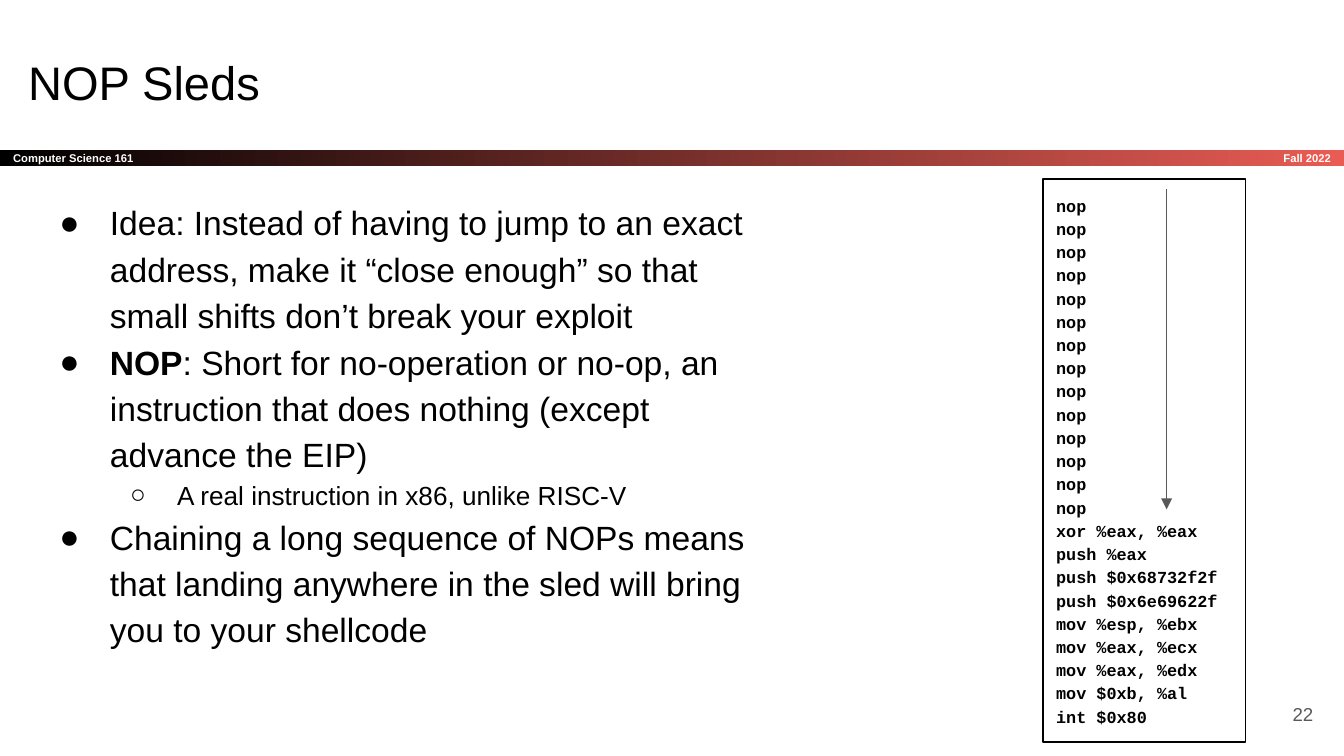
"""Builds the NOP Sleds lecture slide."""
from lxml.etree import SubElement
from pptx import Presentation
from pptx.dml.color import RGBColor
from pptx.enum.shapes import MSO_CONNECTOR as CONN, MSO_SHAPE as SHAPE
from pptx.enum.text import MSO_ANCHOR as ANCHOR, MSO_AUTO_SIZE as AUTO, PP_ALIGN as ALIGN
from pptx.oxml.ns import qn
from pptx.util import Pt

BLACK = RGBColor(0x00, 0x00, 0x00)
WHITE = RGBColor(0xFF, 0xFF, 0xFF)
RED = RGBColor(0xE8, 0x5C, 0x54)
GREY = RGBColor(0x59, 0x59, 0x59)

BULLETS = [
    (0, [("Idea: Instead of having to jump to an exact address, make it “close enough” "
          "so that small shifts don’t break your exploit", False)]),
    (0, [("NOP", True),
         (": Short for no-operation or no-op, an instruction that does nothing "
          "(except advance the EIP)", False)]),
    (1, [("A real instruction in x86, unlike RISC-V", False)]),
    (0, [("Chaining a long sequence of NOPs means that landing anywhere in the sled "
          "will bring you to your shellcode", False)]),
]
LEVELS = [("●", 36, -27, 18), ("○", 72, -25.2, 14)]
CODE = ["nop"] * 14 + [
    "xor %eax, %eax",
    "push %eax",
    "push $0x68732f2f",
    "push $0x6e69622f",
    "mov %esp, %ebx",
    "mov %eax, %ecx",
    "mov %eax, %edx",
    "mov $0xb, %al",
    "int $0x80",
]


class SlideBuilder:
    def __init__(self, slide, font="Arial", mono="Courier New", inset=7.2, spacing=1.15):
        self.s, self.font, self.mono = slide, font, mono
        self.inset, self.spacing = Pt(inset), spacing

    def frame(self, sp, anchor=ANCHOR.TOP):
        tf = sp.text_frame
        tf.word_wrap = True
        tf.vertical_anchor = anchor
        tf.margin_left = tf.margin_right = tf.margin_top = tf.margin_bottom = self.inset
        return tf

    def run(self, p, text, size, color=BLACK, bold=False, font=None):
        r = p.add_run()
        r.text = text
        r.font.name = font or self.font
        r.font.size = Pt(size)
        r.font.bold = bold
        r.font.color.rgb = color

    def box(self, x, y, w, h):
        sp = self.s.shapes.add_shape(SHAPE.RECTANGLE, Pt(x), Pt(y), Pt(w), Pt(h))
        sp.shadow.inherit = False
        return sp

    def label(self, x, y, w, h, text, size, color=BLACK, bold=False,
              align=ALIGN.LEFT, anchor=ANCHOR.MIDDLE):
        sp = self.s.shapes.add_textbox(Pt(x), Pt(y), Pt(w), Pt(h))
        p = self.frame(sp, anchor).paragraphs[0]
        p.alignment = align
        self.run(p, text, size, color, bold)

    def band(self, x, y, w, h, text, size):
        sp = self.box(x, y, w, h)
        sp.fill.gradient()
        sp.fill.gradient_angle = 0
        for stop, color in zip(sp.fill.gradient_stops, (BLACK, RED)):
            stop.color.rgb = color
        sp.line.fill.background()
        p = self.frame(sp, ANCHOR.MIDDLE).paragraphs[0]
        p.alignment = ALIGN.LEFT
        self.run(p, text, size, WHITE, True)

    def bullets(self, x, y, w, h, items):
        tf = self.frame(self.s.shapes.add_textbox(Pt(x), Pt(y), Pt(w), Pt(h)))
        for i, (level, runs) in enumerate(items):
            p = tf.add_paragraph() if i else tf.paragraphs[0]
            char, margin, indent, size = LEVELS[level]
            pPr = p._p.get_or_add_pPr()
            pPr.set("marL", str(Pt(margin)))
            pPr.set("indent", str(Pt(indent)))
            SubElement(SubElement(pPr, qn("a:buClr")), qn("a:srgbClr"), val=str(BLACK))
            SubElement(pPr, qn("a:buFont"), typeface=self.font)
            SubElement(pPr, qn("a:buChar"), char=char)
            p.level = level
            p.line_spacing = self.spacing
            for text, bold in runs:
                self.run(p, text, size, bold=bold)

    def code(self, x, y, w, h, lines, size):
        sp = self.box(x, y, w, h)
        sp.fill.solid()
        sp.fill.fore_color.rgb = WHITE
        sp.line.color.rgb = BLACK
        sp.line.width = Pt(0.75)
        tf = self.frame(sp)
        tf.auto_size = AUTO.SHAPE_TO_FIT_TEXT
        p = tf.paragraphs[0]
        p.alignment = ALIGN.LEFT
        p.line_spacing = self.spacing
        p.space_after = Pt(12)
        for i, line in enumerate(lines):
            if i:
                p.add_line_break()
            self.run(p, line, size, bold=True, font=self.mono)

    def arrow(self, x1, y1, x2, y2):
        c = self.s.shapes.add_connector(CONN.STRAIGHT, Pt(x1), Pt(y1), Pt(x2), Pt(y2))
        c.line.color.rgb = GREY
        c.line.width = Pt(0.75)
        SubElement(c.line._get_or_add_ln(), qn("a:tailEnd"), type="triangle")
        SubElement(c._element.spPr, qn("a:effectLst"))


def main():
    prs = Presentation()
    prs.slide_width, prs.slide_height = Pt(720), Pt(405)
    b = SlideBuilder(prs.slides.add_slide(prs.slide_layouts[6]))
    b.band(0, 80.2, 720, 8.64, "Computer Science 161", 6)
    b.label(600.5, 80.2, 119.5, 8.64, "Fall 2022", 6, WHITE, True, ALIGN.RIGHT)
    b.label(8, 21.6, 671, 45.4, "NOP Sleds", 25.2, anchor=ANCHOR.TOP)
    b.bullets(15.8, 98, 404.6, 296.6, BULLETS)
    b.label(667.4, 367.2, 43.2, 31, "22", 10, GREY, align=ALIGN.RIGHT)
    b.code(558.7, 95.8, 108.7, 301.7, CODE, 9)
    b.arrow(625, 101.5, 625, 272.9)
    prs.save("out.pptx")


if __name__ == "__main__":
    main()
